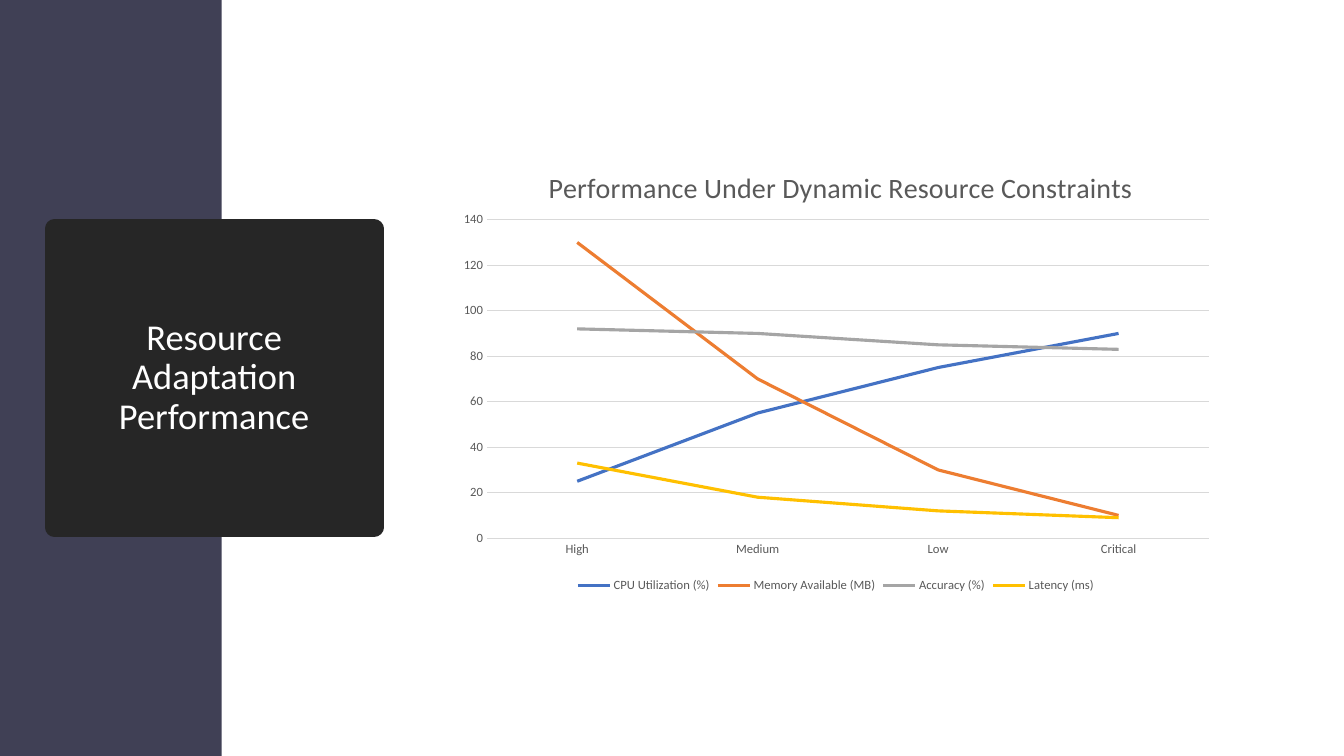
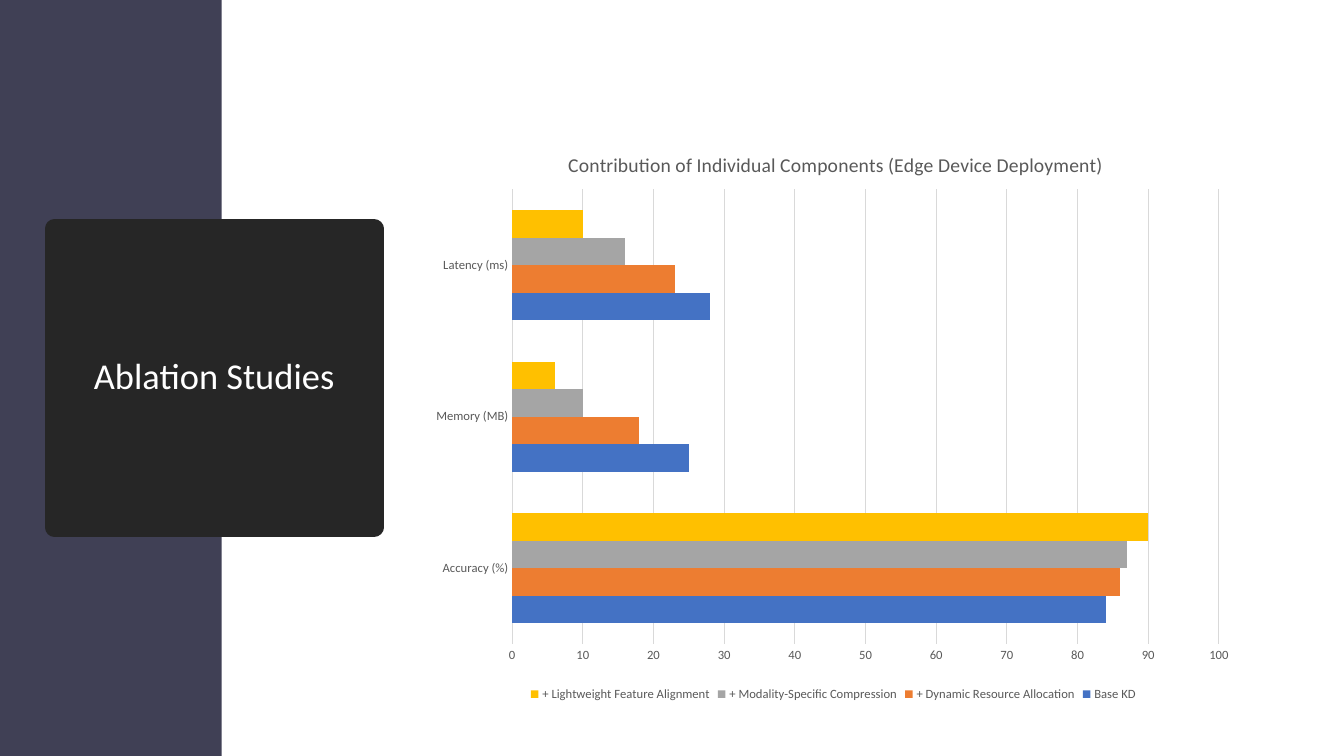
from lxml.etree import SubElement
from pptx import Presentation
from pptx.chart.data import CategoryChartData
from pptx.dml.color import RGBColor
from pptx.enum.chart import XL_CHART_TYPE, XL_LEGEND_POSITION, XL_TICK_MARK
from pptx.enum.shapes import MSO_SHAPE
from pptx.enum.text import MSO_ANCHOR, MSO_AUTO_SIZE, PP_ALIGN
from pptx.oxml import parse_xml
from pptx.oxml.ns import nsdecls, qn
from pptx.util import Inches, Pt

FACE = "Calibri"
COLORS = {"band": "404055", "box": "262626", "white": "FFFFFF",
          "text": "595959", "grid": "D9D9D9"}
SERIES = {"blue": "4472C4", "orange": "ED7D31",
          "gray": "A5A5A5", "gold": "FFC000"}


def rgb(code):
    return RGBColor.from_string(code)


def paint(fill, code):
    fill.solid()
    fill.fore_color.rgb = rgb(code)


def style(font, size, color):
    font.name = FACE
    font.size = Pt(size)
    font.bold = False
    font.color.rgb = rgb(COLORS[color])


def add_band(slide, height):
    band = slide.shapes.add_shape(MSO_SHAPE.RECTANGLE, 0, 0, Inches(2.2), height)
    band.shadow.inherit = False
    paint(band.fill, COLORS["band"])
    band.line.fill.background()
    # The band lies behind the title box.
    slide.shapes.title.element.addprevious(band.element)


def set_title(slide, text):
    box = slide.shapes.title
    box.left, box.top = Inches(0.54), Inches(2.27)
    box.width, box.height = Inches(3.17), Inches(2.96)
    paint(box.fill, COLORS["box"])
    paint(box.line.fill, COLORS["box"])
    box.line.width = Pt(13.75)
    SubElement(box.element.spPr.find(qn("a:ln")), qn("a:round"))
    frame = box.text_frame
    frame.text = text
    frame.word_wrap = True
    frame.auto_size = MSO_AUTO_SIZE.NONE
    frame.vertical_anchor = MSO_ANCHOR.MIDDLE
    para = frame.paragraphs[0]
    para.alignment = PP_ALIGN.CENTER
    para.line_spacing = 0.9
    style(para.font, 26, "white")


def add_slide(deck, title):
    slide = deck.slides.add_slide(deck.slide_layouts[5])
    add_band(slide, deck.slide_height)
    set_title(slide, title)
    return slide


def place(node, index, area, spot):
    """Fix a chart part at a spot in slide inches; a size is optional."""
    for old in node.findall(qn("c:layout")):
        node.remove(old)
    left, top, width, height = area
    parts = {"x": (spot[0] - left) / width, "y": (spot[1] - top) / height}
    inner = ""
    if len(spot) == 4:
        parts.update(w=spot[2] / width, h=spot[3] / height)
        inner = '<c:layoutTarget val="inner"/>'
    modes = '<c:xMode val="edge"/><c:yMode val="edge"/>'
    sizes = "".join(f'<c:{key} val="{val:.4f}"/>' for key, val in parts.items())
    node.insert(index, parse_xml(
        f'<c:layout {nsdecls("c")}><c:manualLayout>{inner}{modes}{sizes}'
        '</c:manualLayout></c:layout>'))


def set_axis(axis):
    axis.major_tick_mark = axis.minor_tick_mark = XL_TICK_MARK.NONE
    style(axis.tick_labels.font, 9, "text")
    axis.format.line.fill.background()


def set_scale(axis, top, step):
    set_axis(axis)
    axis.minimum_scale, axis.maximum_scale = 0, top
    axis.major_unit = step
    axis.has_major_gridlines = True
    line = axis.major_gridlines.format.line
    paint(line.fill, COLORS["grid"])
    line.width = Pt(0.75)


def set_head(chart, text, size):
    chart.has_title = True
    frame = chart.chart_title.text_frame
    frame.text = text
    style(frame.paragraphs[0].font, size, "text")
    chart.chart_title.include_in_layout = False


def set_legend(chart):
    chart.has_legend = True
    legend = chart.legend
    legend.position = XL_LEGEND_POSITION.BOTTOM
    legend.include_in_layout = False
    style(legend.font, 9, "text")


def add_chart(slide, kind, area, head, size, spot, plot, cats, rows, scale):
    data = CategoryChartData()
    data.categories = cats
    for name, vals in rows.items():
        data.add_series(name, vals)
    chart = slide.shapes.add_chart(kind, *map(Inches, area), data).chart
    chart.font.name, chart.font.size = FACE, Pt(10)
    set_head(chart, head, size)
    set_legend(chart)
    set_axis(chart.category_axis)
    set_scale(chart.value_axis, *scale)
    place(chart.element.xpath("c:chart/c:title")[0], 1, area, spot)
    place(chart.element.xpath("c:chart/c:plotArea")[0], 0, area, plot)
    chart.plots[0].vary_by_categories = False
    return chart


def add_lines(slide, *args):
    chart = add_chart(slide, XL_CHART_TYPE.LINE, *args)
    base = chart.category_axis.format.line
    paint(base.fill, COLORS["grid"])
    base.width = Pt(0.75)
    for row, code in zip(chart.plots[0].series, SERIES.values()):
        row.smooth = False
        paint(row.format.line.fill, code)
        row.format.line.width = Pt(2.25)


def add_bars(slide, *args):
    chart = add_chart(slide, XL_CHART_TYPE.BAR_CLUSTERED, *args)
    plot = chart.plots[0]
    plot.gap_width, plot.overlap = 150, 0
    for row, code in zip(plot.series, SERIES.values()):
        paint(row.format.fill, code)
        row.invert_if_negative = False


def main():
    deck = Presentation()
    deck.slide_width, deck.slide_height = Inches(13.33), Inches(7.5)

    slide = add_slide(deck, "Resource Adaptation Performance")
    add_lines(slide, (4.44, 1.37, 7.7, 4.55),
              "Performance Under Dynamic Resource Constraints", 20,
              (5.39, 1.61), (4.83, 2.18, 7.16, 3.16),
              ["High", "Medium", "Low", "Critical"],
              {"CPU Utilization (%)": (25, 55, 75, 90),
               "Memory Available (MB)": (130, 70, 30, 10),
               "Accuracy (%)": (92, 90, 85, 83),
               "Latency (ms)": (33, 18, 12, 9)}, (140, 20))

    slide = add_slide(deck, "Ablation Studies")
    add_bars(slide, (4.17, 1.25, 8.19, 5.75),
             "Contribution of Individual Components (Edge Device Deployment)", 14,
             (5.6, 1.47), (5.08, 1.88, 7.01, 4.51),
             ["Accuracy (%)", "Memory (MB)", "Latency (ms)"],
             {"Base KD": (84, 25, 28),
              "+ Dynamic Resource Allocation": (86, 18, 23),
              "+ Modality-Specific Compression": (87, 10, 16),
              "+ Lightweight Feature Alignment": (90, 6, 10)}, (100, 10))

    deck.save("out.pptx")


if __name__ == "__main__":
    main()
